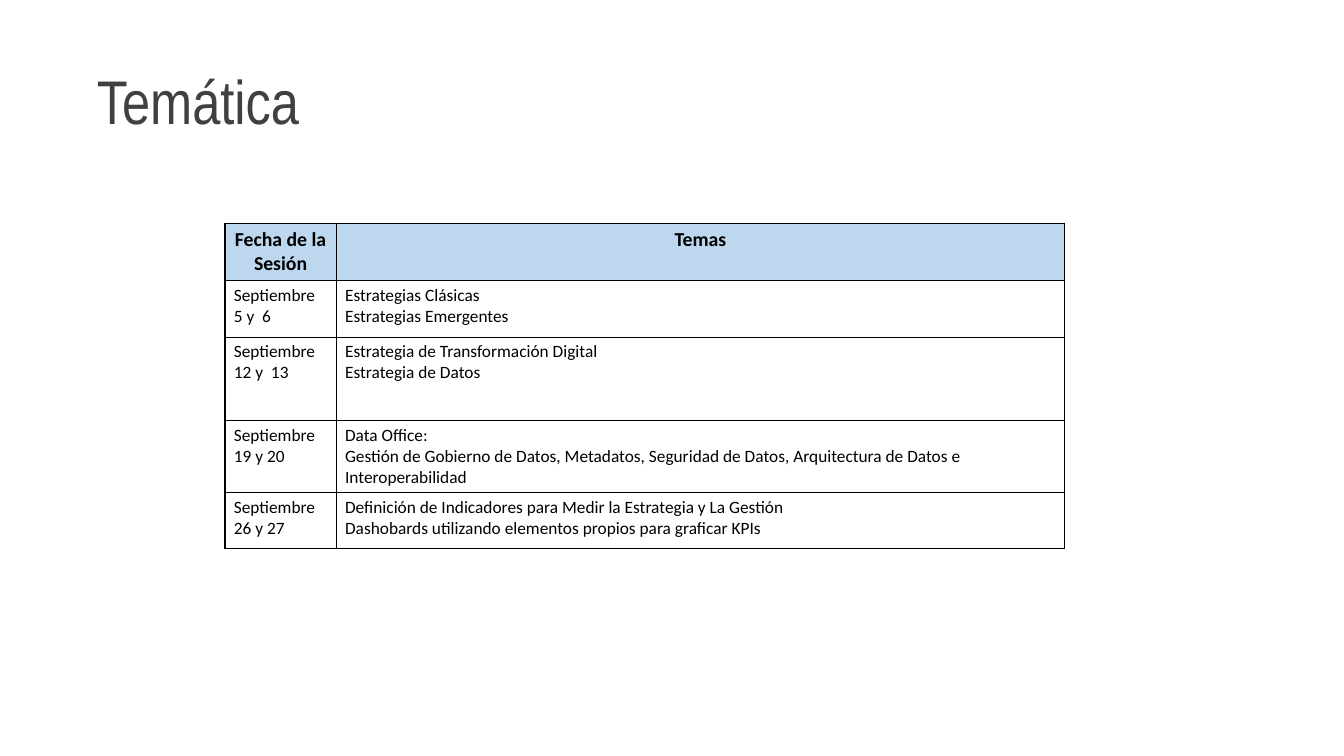
from lxml import etree
from pptx import Presentation
from pptx.dml.color import RGBColor
from pptx.enum.text import MSO_ANCHOR, PP_ALIGN
from pptx.oxml.ns import qn
from pptx.util import Inches, Pt

LEFT, CENTER = PP_ALIGN.LEFT, PP_ALIGN.CENTER
MIDDLE = MSO_ANCHOR.MIDDLE
GRID_COLUMNS, GRID_ROWS = 120, 68
COLORS = {"title": "404040", "ink": "000000", "header": "BDD7EE"}
FORMATS = {
    "title": {"name": "Arial Narrow", "size": Pt(49.9), "bold": False},
    "header": {"name": "Calibri", "size": Pt(16), "bold": True},
    "body": {"name": "Calibri", "size": Pt(14), "bold": False},
}
SCHEDULE = [
    ("Fecha de la Sesión", "Temas"),
    ("Septiembre 5 y  6", "Estrategias Clásicas\nEstrategias Emergentes"),
    ("Septiembre 12 y  13", "Estrategia de Transformación Digital\nEstrategia de Datos"),
    ("Septiembre 19 y 20",
     "Data Office: \vGestión de Gobierno de Datos, Metadatos, Seguridad de Datos, "
     "Arquitectura de Datos e Interoperabilidad"),
    ("Septiembre 26 y 27",
     "Definición de Indicadores para Medir la Estrategia y La Gestión\n"
     "Dashobards utilizando elementos propios para graficar KPIs"),
]


class SlideBuilder:
    def __init__(self, deck):
        self.column = deck.slide_width / GRID_COLUMNS
        self.row = deck.slide_height / GRID_ROWS
        self.page = deck.slides.add_slide(deck.slide_layouts[6])

    def across(self, columns):
        return round(columns * self.column)

    def down(self, rows):
        return round(rows * self.row)

    def fill_text(self, frame, text, style, color, align=LEFT, spacing=1.0):
        frame.text = text
        frame.word_wrap = True
        for para in frame.paragraphs:
            para.alignment = align
            para.line_spacing = spacing
            for span in para.runs:
                for key, value in FORMATS[style].items():
                    setattr(span.font, key, value)
                span.font.color.rgb = RGBColor.from_string(COLORS[color])

    def title(self, text, left, top, width, height):
        box = self.page.shapes.add_textbox(
            self.across(left), self.down(top), self.across(width), self.down(height))
        box.text_frame.vertical_anchor = MIDDLE
        self.fill_text(box.text_frame, text, "title", "title", spacing=0.9)

    def border(self, cell):
        properties = cell._tc.get_or_add_tcPr()
        for side in ("lnL", "lnR", "lnT", "lnB"):
            line = etree.SubElement(properties, qn(f"a:{side}"), w=str(Pt(1)))
            fill = etree.SubElement(line, qn("a:solidFill"))
            etree.SubElement(fill, qn("a:srgbClr"), val=COLORS["ink"])

    def table(self, records, left, top, widths, heights):
        table = self.page.shapes.add_table(
            len(records), len(widths), self.across(left), self.down(top),
            self.across(sum(widths)), self.down(sum(heights))).table
        table.first_row = table.horz_banding = False
        for column, width in zip(table.columns, widths):
            column.width = self.across(width)
        for index, (row, height, record) in enumerate(zip(table.rows, heights, records)):
            row.height = self.down(height)
            for cell, text in zip(row.cells, record):
                self.border(cell)
                if index == 0:
                    cell.fill.solid()
                    cell.fill.fore_color.rgb = RGBColor.from_string(COLORS["header"])
                    self.fill_text(cell.text_frame, text, "header", "ink", CENTER)
                else:
                    cell.fill.background()
                    self.fill_text(cell.text_frame, text, "body", "ink")


def main():
    deck = Presentation()
    deck.slide_width, deck.slide_height = Inches(15.11), Inches(8.5)
    builder = SlideBuilder(deck)
    builder.title("Temática", 7.86, 2.88, 105.39, 13.12)
    builder.table(SCHEDULE, 20.09, 20.08, (9.93, 65.04), (5.12, 5.12, 7.52, 6.48, 5.04))
    deck.save("out.pptx")


if __name__ == "__main__":
    main()
